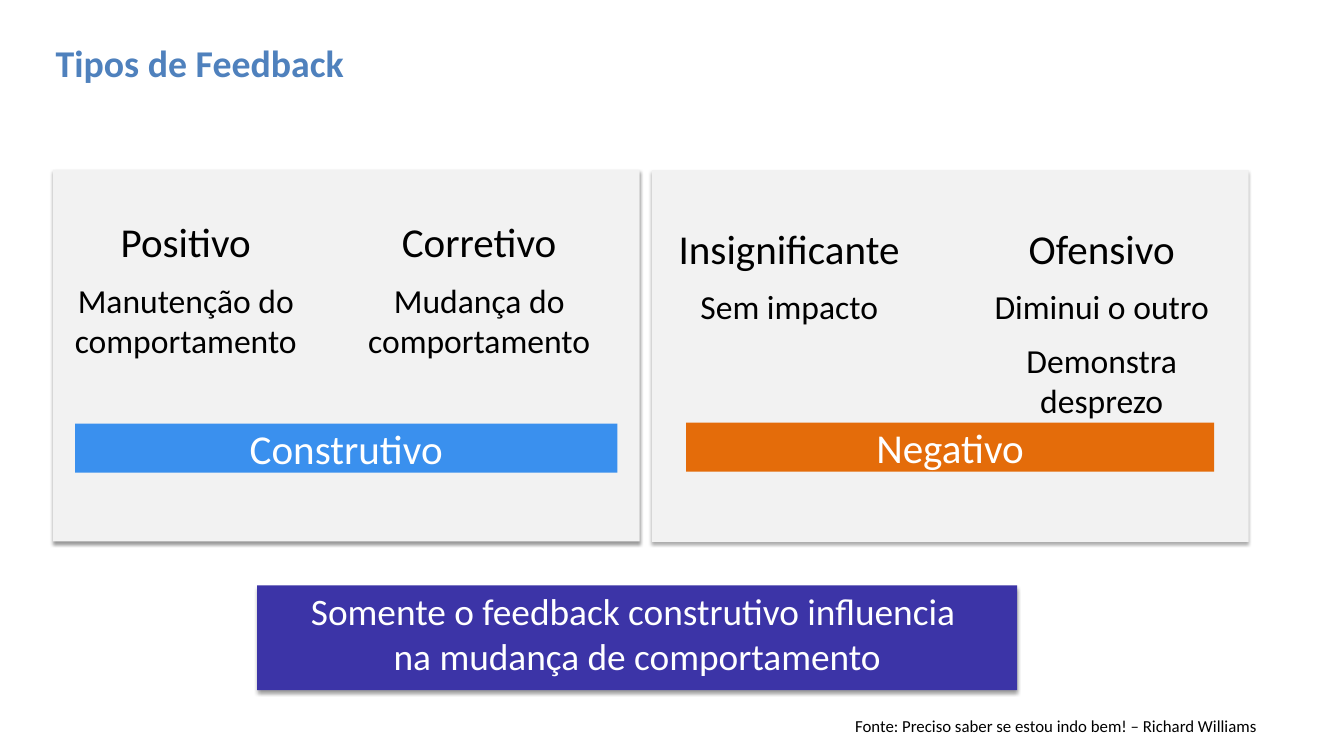
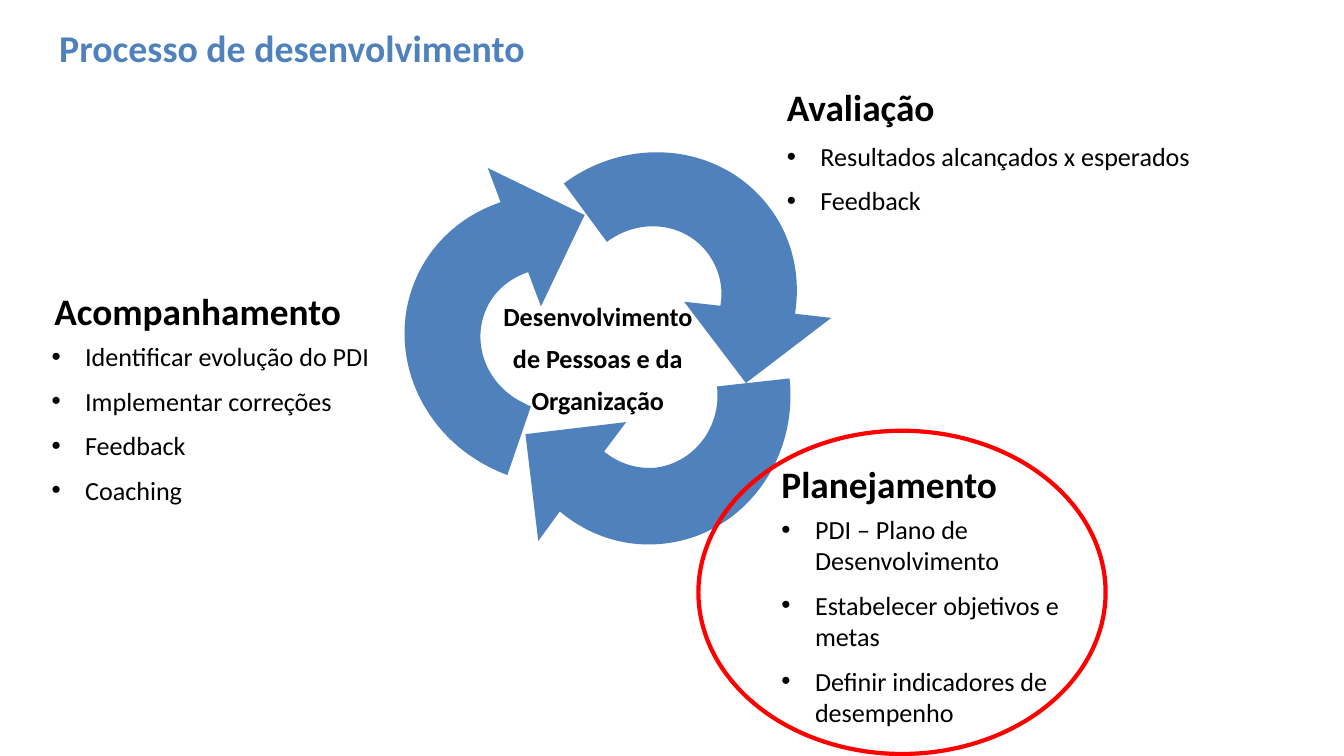
import math

import pptx
import pptx.util
from lxml import etree
from pptx.dml.color import RGBColor
from pptx.enum.shapes import MSO_SHAPE
from pptx.enum.text import MSO_ANCHOR, PP_ALIGN
from pptx.oxml.ns import qn

Pt = pptx.util.Pt
FONT = "Calibri"
BLUE = RGBColor(0x4F, 0x81, 0xBD)
BLACK = RGBColor(0, 0, 0)
WHITE = RGBColor(255, 255, 255)
PANEL_GRAY = RGBColor(0xF2, 0xF2, 0xF2)
BRIGHT_BLUE = RGBColor(0x3A, 0x90, 0xEE)
ORANGE = RGBColor(0xE4, 0x6C, 0x0A)
INDIGO = RGBColor(0x3C, 0x34, 0xA7)
RED = RGBColor(255, 0, 0)
PADDED = (7.2, 3.6)
STRONG_SHADOW = (40, 4, 3)
SOFT_SHADOW = (32, 3.5, 2.2)
ARROW_WIDTH, ARROW_HEIGHT = 306, 324


def write(box, lines, align=PP_ALIGN.LEFT, color=BLACK, bold=False, inset=(0, 0),
          anchor=MSO_ANCHOR.TOP, wrap=True, spacing=0.4, bulleted=False):
    """Fill a box with (text, size) lines; spacing is a share of the text size."""
    frame = box.text_frame
    frame.word_wrap = wrap
    frame.vertical_anchor = anchor
    frame.margin_left = frame.margin_right = Pt(inset[0])
    frame.margin_top = frame.margin_bottom = Pt(inset[1])
    for index, (text, size) in enumerate(lines):
        para = frame.add_paragraph() if index else frame.paragraphs[0]
        para.text = text
        if bulleted:
            properties = para._p.get_or_add_pPr()
            properties.set("marL", str(Pt(36)))
            properties.set("indent", str(Pt(-36)))
            etree.SubElement(properties, qn("a:buFont"), typeface="Arial")
            etree.SubElement(properties, qn("a:buChar"), char="•")
        para.alignment = align
        para.space_before = Pt(size * spacing if index else 0)
        para.font.name = FONT
        para.font.size = Pt(size)
        para.font.bold = bold
        para.font.color.rgb = color


def add_block(page, place, fill, shadow=None):
    """Add a borderless rectangle; shadow is (opacity, blur, distance)."""
    block = page.shapes.add_shape(MSO_SHAPE.RECTANGLE, *map(Pt, place))
    block.fill.solid()
    block.fill.fore_color.rgb = fill
    block.line.fill.background()
    block.shadow.inherit = False
    if shadow:
        opacity, blur, distance = shadow
        effects = block.element.spPr.find(qn("a:effectLst"))
        outer = etree.SubElement(effects, qn("a:outerShdw"), blurRad=str(Pt(blur)),
                                 dist=str(Pt(distance)), dir="5400000", rotWithShape="0")
        tint = etree.SubElement(outer, qn("a:srgbClr"), val="000000")
        etree.SubElement(tint, qn("a:alpha"), val=str(opacity * 1000))
    return block


deck = pptx.Presentation()
deck.slide_width, deck.slide_height = Pt(1440), Pt(810)

pages = []
for heading, place in [
    ("Tipos de Feedback", (52.4, 41.8, 1140.5, 51.1)),
    ("Processo de desenvolvimento", (56.2, 25.2, 982.8, 51.1)),
]:
    page = deck.slides.add_slide(deck.slide_layouts[5])
    title = page.shapes.title
    title.left, title.top, title.width, title.height = map(Pt, place)
    write(title, [(heading, 40.5)], color=BLUE, bold=True, inset=PADDED,
          anchor=MSO_ANCHOR.MIDDLE)
    pages.append(page)
types_page, process_page = pages

# Slide 1: kinds of feedback
source = types_page.shapes.add_textbox(*map(Pt, (440.6, 763.6, 913, 28.8)))
write(source, [("Fonte: Preciso saber se estou indo bem! – Richard Williams", 18)],
      align=PP_ALIGN.RIGHT, inset=PADDED)

conclusion = add_block(types_page, (275.6, 627.2, 814.3, 112.3), INDIGO, STRONG_SHADOW)
write(conclusion,
      [("Somente o feedback construtivo influencia \vna mudança de comportamento", 40)],
      align=PP_ALIGN.CENTER, color=WHITE, inset=PADDED)

panels = [
    ((698.4, 182.4, 639.4, 398.2), SOFT_SHADOW,
     "Negativo", (735.1, 452.9, 565.9, 52.6), ORANGE,
     [((655.2, 239, 380.9, 110.2), "Insignificante", ["Sem impacto"]),
      ((1036.1, 239, 288.7, 211), "Ofensivo", ["Diminui o outro", "Demonstra desprezo"])]),
    ((56.9, 182, 628.6, 398.2), STRONG_SHADOW,
     "Construtivo", (80.6, 453.8, 581, 52.6), BRIGHT_BLUE,
     [((56.9, 232.4, 284.4, 153.4), "Positivo", ["Manutenção do comportamento"]),
      ((341.3, 232.4, 344.2, 153.4), "Corretivo", ["Mudança do comportamento"])]),
]
for panel_place, shadow, label, label_place, label_color, kinds in panels:
    add_block(types_page, panel_place, PANEL_GRAY, shadow)
    banner = add_block(types_page, label_place, label_color)
    write(banner, [(label, 44)], align=PP_ALIGN.CENTER, color=WHITE)
    for place, kind, effects in kinds:
        box = types_page.shapes.add_textbox(*map(Pt, place))
        write(box, [(kind, 44)] + [(effect, 36) for effect in effects],
              align=PP_ALIGN.CENTER)

# Slide 2: development cycle
stages = [
    ("Planejamento", (830.2, 491, 353.5, 54.7), (830.2, 546.5, 311.8, 236.9),
     ["PDI – Plano de Desenvolvimento", "Estabelecer objetivos e metas",
      "Definir indicadores de desempenho"]),
    ("Acompanhamento", (51.1, 305.3, 462.2, 54.7), (48.2, 361.4, 468, 183.6),
     ["Identificar evolução do PDI", "Implementar correções", "Feedback", "Coaching"]),
    ("Avaliação", (835.9, 86.4, 290.9, 54.7), (835.9, 146.9, 529.9, 88.6),
     ["Resultados alcançados x esperados", "Feedback"]),
]
for stage, stage_place, list_place, tasks in stages:
    box = process_page.shapes.add_textbox(*map(Pt, stage_place))
    write(box, [(stage, 40)], bold=True, inset=PADDED)
    box = process_page.shapes.add_textbox(*map(Pt, list_place))
    write(box, [(task, 28) for task in tasks], inset=PADDED, spacing=0.5, bulleted=True)

# Left, top, rotation and outline as seen on the page:
# a start point, then lines (one point) and Bézier curves (three points)
cycle_arrows = [
    (542.2, 157.7, 53.4, [
        [(771.8, 327.6)],
        [(775.4, 307.4), (770.4, 288), (758.9, 272.2)],
        [(734.4, 238.3), (685.4, 232.6), (650.2, 259.2)],
        [(604.1, 196.6)],
        [(675.4, 143.3), (774.7, 154.8), (825.1, 223.2)],
        [(848.9, 254.9), (858.2, 295.2), (851.8, 336.2)],
        [(890.6, 340.6)], [(799.2, 410.4)], [(733, 323.3)], [(771.8, 327.6)]]),
    (540.7, 259.9, 173.9, [
        [(647.3, 483.8)],
        [(663.1, 496.8), (682.6, 502.6), (702, 501.1)],
        [(743.8, 496.1), (773.3, 457.2), (768.2, 414)],
        [(846, 405.4)],
        [(855.4, 494.6), (794.9, 573.8), (710.6, 582.5)],
        [(671, 586.8), (631.4, 574.6), (599.8, 547.9)],
        [(576.7, 579.6)], [(563, 465.1)], [(671, 452.2)], [(647.3, 483.8)]]),
    (440.6, 202.3, 296.2, [
        [(565.9, 291.6)],
        [(546.5, 298.1), (530.6, 311), (522, 329)],
        [(504, 366.5), (520.6, 411.8), (560.2, 431.3)],
        [(563, 432.7), (565.9, 434.2), (568.8, 435.6)],
        [(543.6, 509)],
        [(537.8, 506.9), (531.4, 504), (525.6, 501.1)],
        [(445.7, 461.5), (411.1, 368.6), (448.6, 292.3)],
        [(465.8, 257), (497.5, 229.7), (536.4, 216.7)],
        [(522.7, 180)], [(626.4, 230.4)], [(579.6, 328.3)], [(565.9, 291.6)]]),
]
for left, top, rotation, segments in cycle_arrows:
    ends = [(Pt(x), Pt(y)) for x, y in (segment[-1] for segment in segments)]
    builder = process_page.shapes.build_freeform(*ends[0])
    builder.add_line_segments(ends[1:], close=True)
    arrow = builder.convert_to_shape()
    arrow.left, arrow.top = Pt(left), Pt(top)
    arrow.width, arrow.height = Pt(ARROW_WIDTH), Pt(ARROW_HEIGHT)
    arrow.rotation = rotation
    arrow.fill.solid()
    arrow.fill.fore_color.rgb = BLUE
    arrow.line.fill.background()
    arrow.shadow.inherit = False

    # Redraw the outline with true curves, turned back into the unrotated frame
    outline = next(arrow.element.iter(qn("a:path")))
    for step in list(outline):
        outline.remove(step)
    outline.set("w", str(arrow.width))
    outline.set("h", str(arrow.height))
    cosine, sine = math.cos(math.radians(rotation)), math.sin(math.radians(rotation))
    for index, segment in enumerate(segments):
        if index == 0:
            kind = "a:moveTo"
        else:
            kind = "a:lnTo" if len(segment) == 1 else "a:cubicBezTo"
        step = etree.SubElement(outline, qn(kind))
        for x, y in segment:
            across = x - left - ARROW_WIDTH / 2
            down = y - top - ARROW_HEIGHT / 2
            etree.SubElement(
                step, qn("a:pt"),
                x=str(Pt(ARROW_WIDTH / 2 + across * cosine + down * sine)),
                y=str(Pt(ARROW_HEIGHT / 2 - across * sine + down * cosine)))
    etree.SubElement(outline, qn("a:close"))

center = process_page.shapes.add_textbox(*map(Pt, (538.6, 341.3, 203.8, 84.2)))
write(center, [("Desenvolvimento", 28), ("de Pessoas e da", 28), ("Organização", 28)],
      align=PP_ALIGN.CENTER, bold=True, anchor=MSO_ANCHOR.MIDDLE, wrap=False)

highlight = process_page.shapes.add_shape(MSO_SHAPE.OVAL,
                                          *map(Pt, (748.3, 461.5, 436.3, 346.3)))
highlight.fill.background()
highlight.line.color.rgb = RED
highlight.line.width = Pt(4.5)
highlight.shadow.inherit = False

deck.save("out.pptx")
